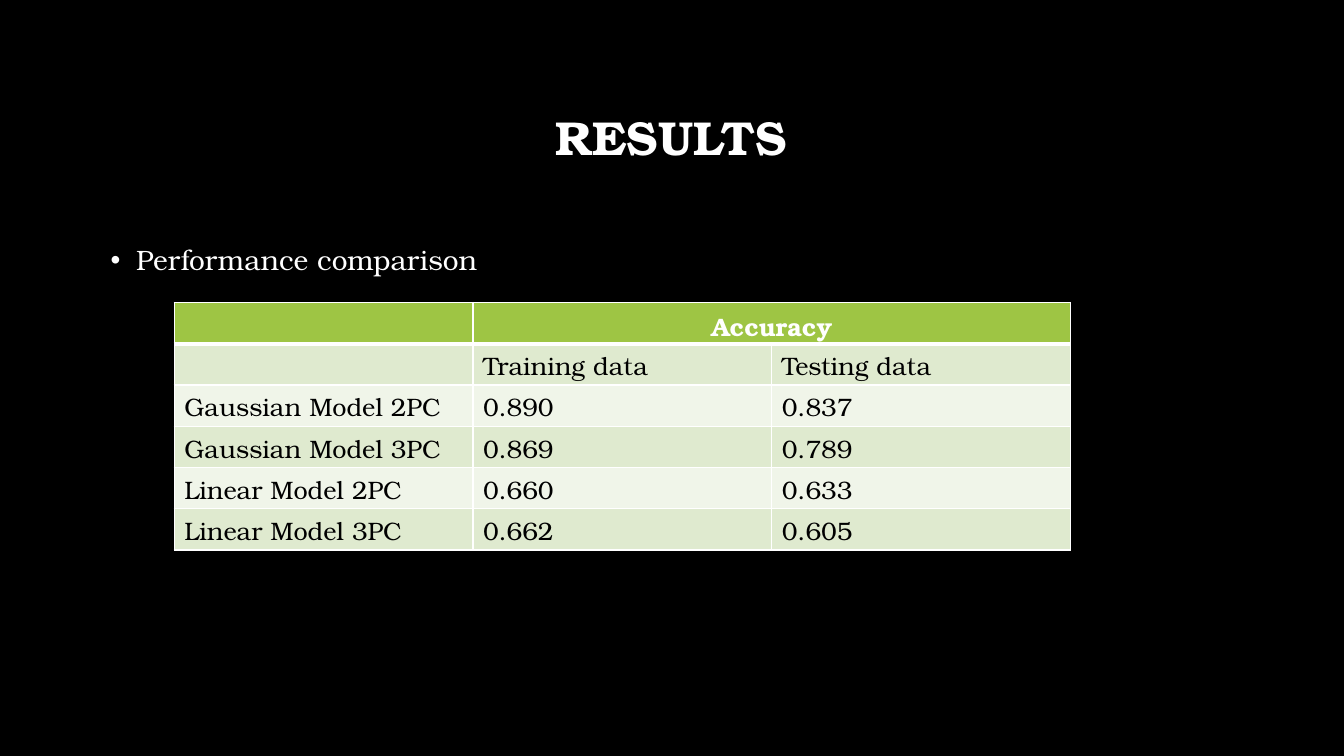
from lxml.etree import SubElement
from pptx import Presentation
from pptx.dml.color import RGBColor
from pptx.enum.text import MSO_ANCHOR, PP_ALIGN
from pptx.oxml.ns import qn
from pptx.util import Cm, Pt

TITLE = "RESULTS"
BULLET = "Performance comparison"
ACCURACY_ROWS = [
    ("", "Accuracy", ""),
    ("", "Training data", "Testing data"),
    ("Gaussian Model 2PC", "0.890", "0.837"),
    ("Gaussian Model 3PC", "0.869", "0.789"),
    ("Linear Model 2PC", "0.660", "0.633"),
    ("Linear Model 3PC", "0.662", "0.605"),
]
COLOURS = {
    "background": "000000",
    "light": "FFFFFF",
    "dark": "000000",
    "header": "9EC544",
    "odd": "DFEACF",
    "even": "F0F5E9",
}
FONT = "TeX Gyre Bonum"
COLUMN_WIDTH, ROW_HEIGHT = 7.53, 1.04


def colour(name):
    return RGBColor.from_string(COLOURS[name])


def write(para, text, size, ink, bold=False):
    span = para.add_run()
    span.text = text
    span.font.name = FONT
    span.font.size = Pt(size)
    span.font.bold = bold
    span.font.color.rgb = colour(ink)


def add_text_box(page, top, height, anchor):
    box = page.shapes.add_textbox(Cm(2.54), Cm(top), Cm(28.75), Cm(height))
    box.text_frame.word_wrap = True
    box.text_frame.vertical_anchor = anchor
    return box.text_frame.paragraphs[0]


def add_bullet(para):
    properties = para._p.get_or_add_pPr()
    properties.set("marL", str(Cm(0.64)))
    properties.set("indent", str(-Cm(0.64)))
    SubElement(properties, qn("a:buFont"), typeface="Arial")
    SubElement(properties, qn("a:buChar"), char="•")


def set_borders(cell, bottom_width):
    """Draw white borders; they must precede the fill in the cell's XML."""
    properties = cell._tc.get_or_add_tcPr()
    for side in ("L", "R", "T", "B"):
        width = bottom_width if side == "B" else 1
        line = SubElement(properties, qn(f"a:ln{side}"), w=str(Pt(width)))
        fill = SubElement(line, qn("a:solidFill"))
        SubElement(fill, qn("a:srgbClr"), val=COLOURS["light"])


def add_accuracy_table(page):
    row_count, column_count = len(ACCURACY_ROWS), len(ACCURACY_ROWS[0])
    table = page.shapes.add_table(
        row_count, column_count, Cm(4.39), Cm(7.62),
        Cm(COLUMN_WIDTH * column_count), Cm(ROW_HEIGHT * row_count)).table
    for column in table.columns:
        column.width = Cm(COLUMN_WIDTH)
    for row_index, values in enumerate(ACCURACY_ROWS):
        table.rows[row_index].height = Cm(ROW_HEIGHT)
        is_header = row_index == 0
        band = "header" if is_header else ("even", "odd")[row_index % 2]
        for column_index, value in enumerate(values):
            cell = table.cell(row_index, column_index)
            set_borders(cell, 3 if is_header else 1)
            cell.fill.solid()
            cell.fill.fore_color.rgb = colour(band)
            para = cell.text_frame.paragraphs[0]
            para.font.size = Pt(18)
            para.font.name = FONT
            if value:
                write(para, value, 18, "light" if is_header else "dark", is_header)
            if is_header:
                para.alignment = PP_ALIGN.CENTER
    table.cell(0, 1).merge(table.cell(0, 2))


def main():
    deck = Presentation()
    deck.slide_width, deck.slide_height = Cm(33.87), Cm(19.05)
    page = deck.slides.add_slide(deck.slide_layouts[6])
    page.background.fill.solid()
    page.background.fill.fore_color.rgb = colour("background")

    title = add_text_box(page, 1.7, 3.68, MSO_ANCHOR.MIDDLE)
    title.alignment = PP_ALIGN.CENTER
    title.line_spacing = 0.9
    write(title, TITLE, 34, "light", bold=True)

    body = add_text_box(page, 5.82, 10.26, MSO_ANCHOR.TOP)
    body.line_spacing = 1.2
    body.space_before = Pt(10)
    add_bullet(body)
    write(body, BULLET, 20, "light")

    add_accuracy_table(page)
    deck.save("out.pptx")


if __name__ == "__main__":
    main()
